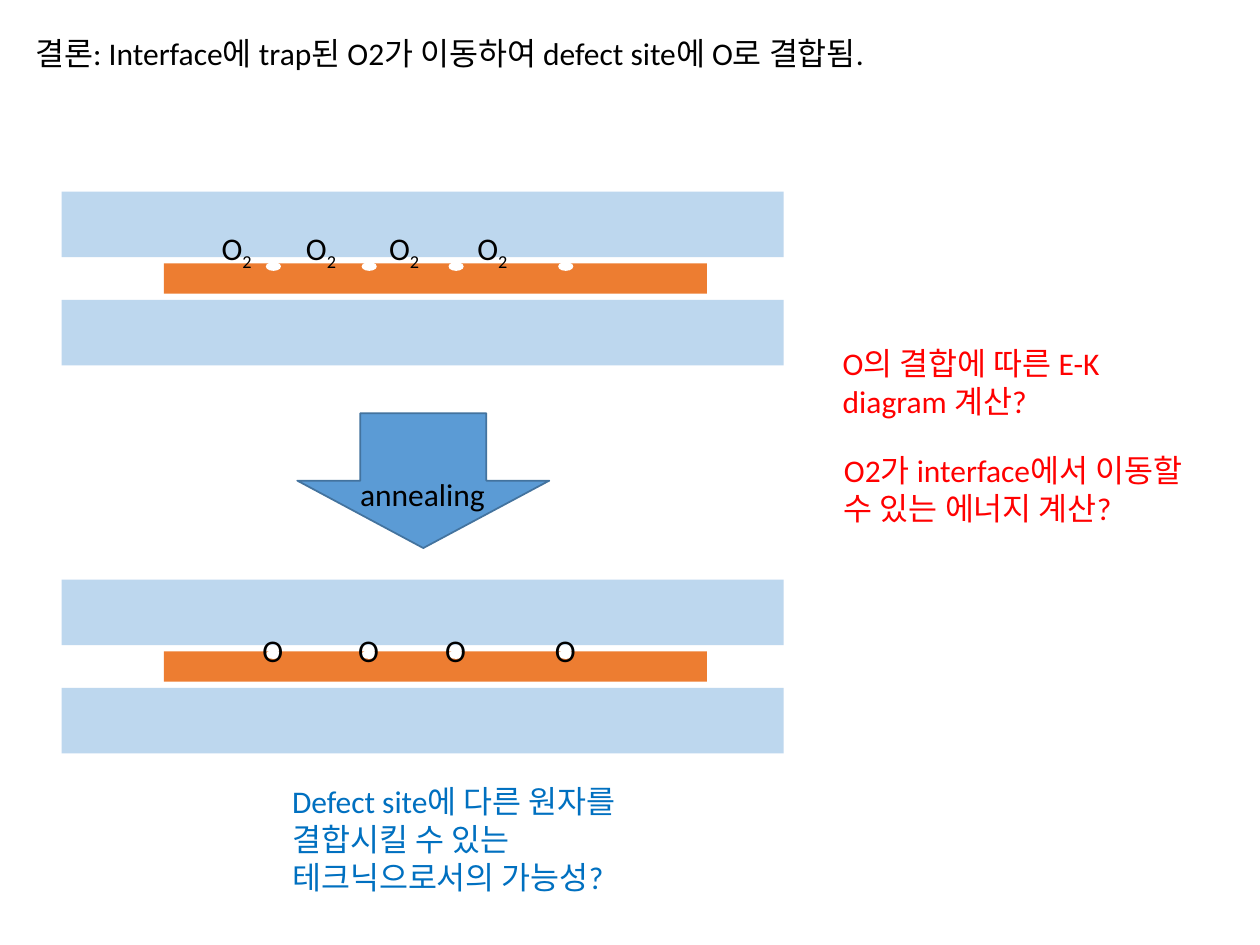
from dataclasses import dataclass

from pptx import Presentation
from pptx.dml.color import RGBColor
from pptx.enum.shapes import MSO_SHAPE as Preset
from pptx.enum.text import MSO_ANCHOR as Anchor, MSO_AUTO_SIZE as AutoSize, PP_ALIGN as Align
from pptx.util import Inches, Pt


@dataclass(frozen=True)
class Theme:
    font: str = "Calibri"
    size: int = 18
    text: str = "000000"
    question: str = "FF0000"
    outlook: str = "0070C0"
    layer: str = "BDD7EE"
    film: str = "ED7D31"
    defect: str = "FFFFFF"
    arrow: str = "5B9BD5"
    arrow_line: str = "43739E"


THEME = Theme()
DEFECT_CENTERS = (1.68, 2.44, 3.13, 4.0)
MOLECULE_LEFTS = (1.17, 1.84, 2.5, 3.2)
DEFECT_TOP = 0.56
LABEL_HEIGHT = 0.4


def place(shape, left, top, width, height):
    shape.left, shape.top = Inches(left), Inches(top)
    shape.width, shape.height = Inches(width), Inches(height)


def add_preset(shapes, preset, box, fill, line=None):
    shape = shapes.add_shape(preset, *map(Inches, box))
    shape.shadow.inherit = False
    shape.fill.solid()
    shape.fill.fore_color.rgb = RGBColor.from_string(fill)
    if line:
        shape.line.color.rgb = RGBColor.from_string(line)
        shape.line.width = Pt(1)
    else:
        shape.line.fill.background()
    return shape


def write_text(shape, text, color=THEME.text, wrap=True, subscript=""):
    frame = shape.text_frame
    frame.word_wrap = wrap
    frame.auto_size = AutoSize.SHAPE_TO_FIT_TEXT
    frame.vertical_anchor = Anchor.TOP
    paragraph = frame.paragraphs[0]
    paragraph.alignment = Align.LEFT
    for part in filter(None, (text, subscript)):
        run = paragraph.add_run()
        run.text = part
        run.font.name = THEME.font
        run.font.size = Pt(THEME.size)
        run.font.color.rgb = RGBColor.from_string(color)
    if subscript:
        run.font._element.set("baseline", "-25000")


def add_text(slide, box, text, **text_format):
    write_text(slide.shapes.add_textbox(*map(Inches, box)), text, **text_format)


def add_title(slide, box, text):
    place(slide.shapes.title, *box)
    write_text(slide.shapes.title, text)


def add_layers(slide, left, top, width):
    shapes = slide.shapes.add_group_shape().shapes
    for offset in (0, 0.86):
        add_preset(shapes, Preset.RECTANGLE, (left, top + offset, width, 0.52), THEME.layer)
    film_width = 4.31
    film_left = left + (width - film_width) / 2 + 0.1
    add_preset(shapes, Preset.RECTANGLE, (film_left, top + 0.57, film_width, 0.24), THEME.film)


def add_defects(slide, left, top):
    width, height = 0.12, 0.07
    for center in DEFECT_CENTERS:
        box = (left + center - width / 2, top + DEFECT_TOP, width, height)
        add_preset(slide.shapes, Preset.OVAL, box, THEME.defect)


def add_trapped_stack(slide, left, top, width):
    add_layers(slide, left, top, width)
    for offset in MOLECULE_LEFTS:
        box = (left + offset, top + 0.25, 0.45, LABEL_HEIGHT)
        add_text(slide, box, "O", subscript="2", wrap=False)
    add_defects(slide, left, top)


def add_bonded_stack(slide, left, top, width):
    add_layers(slide, left, top, width)
    add_defects(slide, left, top)
    label_width = 0.37
    for center in DEFECT_CENTERS:
        box = (left + center - label_width / 2, top + 0.36, label_width, LABEL_HEIGHT)
        add_text(slide, box, "O", wrap=False)


def add_annealing_step(slide, left, top, width, height):
    add_preset(slide.shapes, Preset.DOWN_ARROW, (left, top, width, height),
               THEME.arrow, THEME.arrow_line)
    label_width = 1.2
    box = (left + (width - label_width) / 2, top + 0.44, label_width, LABEL_HEIGHT)
    add_text(slide, box, "annealing", wrap=False)


def main():
    presentation = Presentation()
    presentation.slide_width, presentation.slide_height = Inches(10), Inches(7.5)
    slide = presentation.slides.add_slide(presentation.slide_layouts.get_by_name("Title Only"))

    add_title(slide, (0.18, 0.22, 7.89, 0.4),
              "결론: Interface에 trap된 O2가 이동하여 defect site에 O로 결합됨.")
    add_trapped_stack(slide, 0.49, 1.52, 5.73)
    add_annealing_step(slide, 2.36, 3.28, 2, 1.07)
    add_bonded_stack(slide, 0.49, 4.6, 5.73)
    add_text(slide, (2.22, 6.16, 2.93, 1.01),
             "Defect site에 다른 원자를 결합시킬 수 있는 테크닉으로서의 가능성?",
             color=THEME.outlook)
    add_text(slide, (6.59, 2.68, 2.93, 0.71),
             "O의 결합에 따른 E-K diagram 계산?", color=THEME.question)
    add_text(slide, (6.6, 3.53, 2.93, 0.71),
             "O2가 interface에서 이동할 수 있는 에너지 계산?", color=THEME.question)

    presentation.save("out.pptx")


if __name__ == "__main__":
    main()
